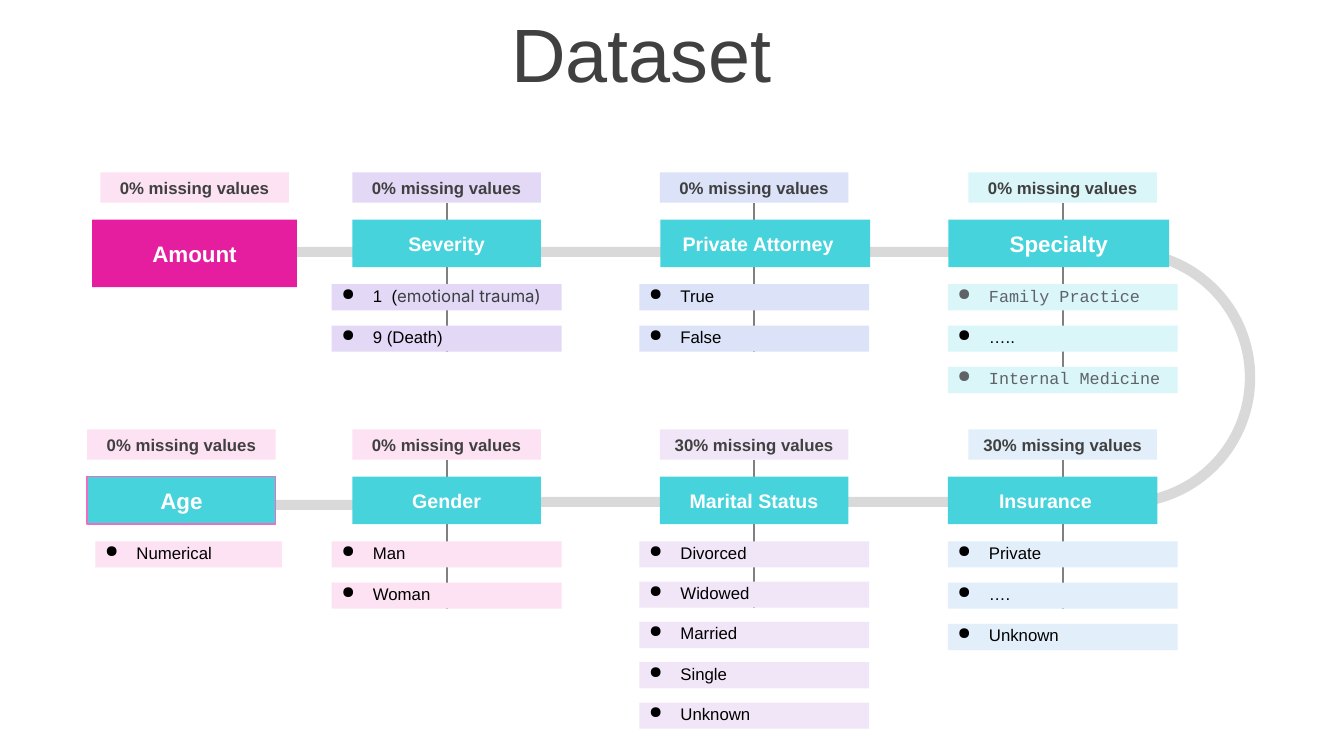
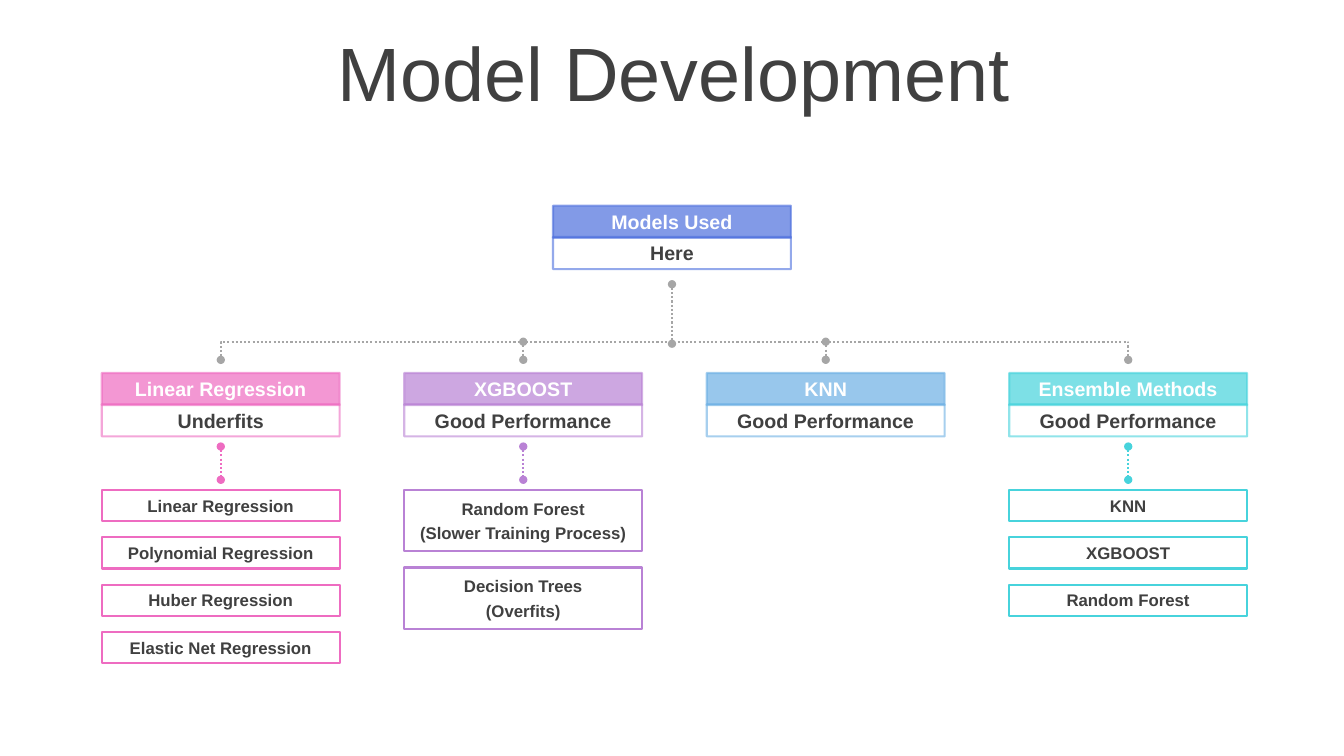
from dataclasses import dataclass
from typing import NamedTuple, Optional, Sequence, Union

from lxml import etree
from pptx import Presentation
from pptx import util as u
from pptx.dml.color import RGBColor
from pptx.enum import dml, shapes
from pptx.enum import text as text_enum
from pptx.oxml.ns import qn

# Shared look
WHITE = RGBColor(0xFF, 0xFF, 0xFF)
BLACK = RGBColor(0, 0, 0)
INK = RGBColor(0x40, 0x40, 0x40)
SOFT_INK = RGBColor(0x3C, 0x40, 0x43)
CODE_INK = RGBColor(0x5F, 0x63, 0x68)
BAND = RGBColor(0xD9, 0xD9, 0xD9)
SPINE = RGBColor(0x80, 0x80, 0x80)
DOTS = RGBColor(0xA6, 0xA6, 0xA6)
CYAN = RGBColor(0x47, 0xD3, 0xDC)
MAGENTA = RGBColor(0xE5, 0x1E, 0xA0)
PINK = RGBColor(0xEE, 0x6C, 0xC1)
PURPLE = RGBColor(0xB9, 0x82, 0xD5)
SKY = RGBColor(0x6D, 0xB0, 0xE4)
BLUE = RGBColor(0x4E, 0x70, 0xDE)
PINK_TINT = RGBColor(0xFC, 0xE2, 0xF3)
VIOLET_TINT = RGBColor(0xE3, 0xD9, 0xF7)
BLUE_TINT = RGBColor(0xDC, 0xE2, 0xF8)
CYAN_TINT = RGBColor(0xDA, 0xF6, 0xF8)
LILAC_TINT = RGBColor(0xF1, 0xE6, 0xF7)
SKY_TINT = RGBColor(0xE2, 0xEF, 0xFA)

SLIDE_WIDTH, SLIDE_HEIGHT = 13.33, 7.5
TITLE_WIDTH, TITLE_HEIGHT = 0.95 * SLIDE_WIDTH, 0.79
CENTER = text_enum.PP_ALIGN.CENTER
LEFT = text_enum.PP_ALIGN.LEFT
TOP = text_enum.MSO_ANCHOR.TOP
MIDDLE = text_enum.MSO_ANCHOR.MIDDLE
BULLET_INDENT = 0.31

# Dataset grid
COLUMN_CENTERS = (1.93, 4.43, 7.48, 10.54)
ROW_TOPS = (1.71, 4.26)
LABEL_WIDTH, LABEL_HEIGHT = 1.87, 0.3
HEADING_DROP, ITEM_DROP, ITEM_HEIGHT = 0.47, 1.11, 0.26

# Model grid
NODE_LEFT, NODE_PITCH, NODE_WIDTH = 1.01, 3.0, 2.36
NODE_TOP, NODE_HEIGHT, NODE_STEP = 3.7, 0.32, 0.31
MEMBER_TOP, MEMBER_GAP, LINE_HEIGHT = 4.86, 0.16, 0.3
BUS_TOP, BUS_BOTTOM = 3.39, 3.57


class Run(NamedTuple):
    text: str
    font: str = "Arial"
    color: Optional[RGBColor] = None


Line = Union[str, Sequence[Run]]


@dataclass(frozen=True)
class Card:
    column: int
    row: int
    heading: str
    tint: RGBColor
    items: Sequence[Line] = ()
    missing: int = 0
    nudge: float = 0
    fill: RGBColor = CYAN
    outline: Optional[RGBColor] = None
    heading_width: float = 1.87
    heading_height: float = 0.47
    heading_nudge: float = 0
    heading_size: int = 14
    text_shift: float = 0
    item_width: float = 2.28
    item_nudge: float = 0
    item_pitch: float = 0.41
    spine_items: int = 2


@dataclass(frozen=True)
class Model:
    name: str
    verdict: str
    color: RGBColor
    members: Sequence[Sequence[str]] = ()


CARDS = (
    Card(0, 0, "Amount", PINK_TINT, fill=MAGENTA, heading_width=2.03,
         heading_height=0.67, heading_size=16, spine_items=0),
    Card(1, 0, "Severity", VIOLET_TINT,
         ((Run("1  ("), Run("emotional trauma)", "Inter", SOFT_INK)), "9 (Death)")),
    Card(2, 0, "Private Attorney", BLUE_TINT, ("True", "False"),
         heading_width=2.08, heading_nudge=0.11, text_shift=0.07),
    Card(3, 0, "Specialty", CYAN_TINT,
         ((Run("Family Practice", "Courier New", CODE_INK),), "…..",
          (Run("Internal Medicine", "Courier New", CODE_INK),)),
         heading_width=2.19, heading_nudge=-0.04, heading_size=16, spine_items=3),
    Card(0, 1, "Age", PINK_TINT, ("Numerical",), nudge=-0.13, outline=PINK,
         heading_size=16, item_width=1.85, item_nudge=0.07, spine_items=0),
    Card(1, 1, "Gender", PINK_TINT, ("Man", "Woman")),
    Card(2, 1, "Marital Status", LILAC_TINT,
         ("Divorced", "Widowed", "Married", "Single", "Unknown"), 30, item_pitch=0.4),
    Card(3, 1, "Insurance", SKY_TINT, ("Private", "….", "Unknown"), 30,
         heading_width=2.08, heading_nudge=-0.1, text_shift=0.07),
)

MODELS = (
    Model("Linear Regression", "Underfits", PINK,
          (("Linear Regression",), ("Polynomial Regression",),
           ("Huber Regression",), ("Elastic Net Regression",))),
    Model("XGBOOST", "Good Performance", PURPLE,
          (("Random Forest", "(Slower Training Process)"),
           ("Decision Trees", "(Overfits)"))),
    Model("KNN", "Good Performance", SKY),
    Model("Ensemble Methods", "Good Performance", CYAN,
          (("KNN",), ("XGBOOST",), ("Random Forest",))),
)


# Drawing helpers
def write_text(shape, *lines: Line, size: float = 12, color: RGBColor = INK,
               bold: bool = False, align=CENTER, anchor=MIDDLE, spacing: float = 1,
               before: float = 0, bullet: bool = False, shift: float = 0) -> None:
    """Fill a shape with one paragraph per line; shift moves centred text left."""
    frame = shape.text_frame
    frame.word_wrap = True
    frame.vertical_anchor = anchor
    frame.margin_right = u.Inches(0.1 + 2 * shift)
    for index, line in enumerate(lines):
        paragraph = frame.add_paragraph() if index else frame.paragraphs[0]
        paragraph.alignment = align
        paragraph.line_spacing = spacing
        paragraph.space_before = u.Pt(before)
        if bullet:
            properties = paragraph._p.get_or_add_pPr()
            indent = u.Inches(BULLET_INDENT)
            properties.set("marL", str(indent))
            properties.set("indent", str(-indent))
            etree.SubElement(properties, qn("a:buChar"), char="●")
        for part in (Run(line),) if isinstance(line, str) else line:
            run = paragraph.add_run()
            run.text = part.text
            run.font.name = part.font
            run.font.size = u.Pt(size)
            run.font.bold = bold
            run.font.color.rgb = part.color or color


def set_alpha(parent, percent: int) -> None:
    color = parent.find(qn("a:solidFill")).find(qn("a:srgbClr"))
    etree.SubElement(color, qn("a:alpha"), val=str(percent * 1000))


def add_box(slide, left: float, top: float, width: float, height: float,
            fill: Optional[RGBColor] = None, outline: Optional[RGBColor] = None,
            line_width: float = 1.5, fill_alpha: int = 100, line_alpha: int = 100,
            kind=shapes.MSO_SHAPE.RECTANGLE):
    shape = slide.shapes.add_shape(
        kind, *(u.Inches(value) for value in (left, top, width, height)))
    shape.shadow.inherit = False
    properties = shape.element.spPr
    if fill is None:
        shape.fill.background()
    else:
        shape.fill.solid()
        shape.fill.fore_color.rgb = fill
        if fill_alpha < 100:
            set_alpha(properties, fill_alpha)
    if outline is None:
        shape.line.fill.background()
    else:
        shape.line.color.rgb = outline
        shape.line.width = u.Pt(line_width)
        if line_alpha < 100:
            set_alpha(properties.find(qn("a:ln")), line_alpha)
    return shape


def add_line(slide, x: float, top: float, bottom: float, color: RGBColor):
    """Draw a vertical line."""
    line = slide.shapes.add_connector(
        shapes.MSO_CONNECTOR.STRAIGHT,
        *(u.Inches(value) for value in (x, top, x, bottom)))
    line.line.color.rgb = color
    line.line.width = u.Pt(1.5)
    etree.SubElement(line.element.spPr, qn("a:effectLst"))
    return line


def make_dotted(shape) -> None:
    shape.line.dash_style = dml.MSO_LINE.ROUND_DOT
    outline = shape.element.spPr.find(qn("a:ln"))
    for end in ("a:headEnd", "a:tailEnd"):
        etree.SubElement(outline, qn(end), type="oval")


def add_titled_slide(presentation, title: str, left: float, top: float):
    slide = presentation.slides.add_slide(presentation.slide_layouts[6])
    box = slide.shapes.add_textbox(*(u.Inches(value) for value in (
        left, top, TITLE_WIDTH, TITLE_HEIGHT)))
    write_text(box, title, size=54, spacing=0.9, before=10)
    return slide


# Dataset slide
def draw_card(slide, card: Card) -> None:
    center = COLUMN_CENTERS[card.column] + card.nudge
    top = ROW_TOPS[card.row]
    # The spine lies behind the boxes it joins
    spine = add_line(slide, center, top, top + ITEM_DROP, SPINE) if card.spine_items else None
    label = add_box(slide, center - LABEL_WIDTH / 2, top, LABEL_WIDTH, LABEL_HEIGHT, card.tint)
    write_text(label, f"{card.missing}% missing values", bold=True, anchor=TOP)
    heading = add_box(slide, center + card.heading_nudge - card.heading_width / 2,
                      top + HEADING_DROP, card.heading_width, card.heading_height,
                      card.fill, card.outline, line_width=1)
    write_text(heading, card.heading, size=card.heading_size, color=WHITE, bold=True,
               shift=card.text_shift)
    for index, item in enumerate(card.items):
        box = add_box(slide, center + card.item_nudge - card.item_width / 2,
                      top + ITEM_DROP + index * card.item_pitch,
                      card.item_width, ITEM_HEIGHT, card.tint)
        write_text(box, item, color=BLACK, align=LEFT, anchor=TOP, spacing=0.8, bullet=True)
        if index + 1 == card.spine_items:
            spine.begin_connect(label, 2)
            spine.end_connect(box, 2)


def draw_dataset(presentation) -> None:
    slide = add_titled_slide(presentation, "Dataset", 0.03, 0.18)
    # Track that links the cards
    arc = add_box(slide, 9.86, 2.45, 2.59, 2.59, BAND, kind=shapes.MSO_SHAPE.BLOCK_ARC)
    for index, value in enumerate((161.27, 54.9, 0.04)):
        arc.adjustments[index] = value
    for left, top, width in ((2.94, 2.45, 8.27), (4.93, 4.93, 6.26), (1.52, 4.96, 1.98)):
        add_box(slide, left, top, width, 0.1, BAND)
    for card in CARDS:
        draw_card(slide, card)


# Model slide
def draw_node(slide, left: float, top: float, model: Model) -> None:
    rows = ((model.name, model.color, WHITE), (model.verdict, None, INK))
    for index, (caption, fill, ink) in enumerate(rows):
        box = add_box(slide, left, top + index * NODE_STEP, NODE_WIDTH, NODE_HEIGHT,
                      fill, model.color, fill_alpha=70, line_alpha=60)
        write_text(box, caption, size=14, color=ink, bold=True, before=3)


def draw_models(presentation) -> None:
    slide = add_titled_slide(presentation, "Model Development", 0.35, 0.37)
    lefts = [NODE_LEFT + index * NODE_PITCH for index in range(len(MODELS))]
    centers = [left + NODE_WIDTH / 2 for left in lefts]
    middle = SLIDE_WIDTH / 2

    # Dotted tree
    builder = slide.shapes.build_freeform(u.Inches(centers[0]), u.Inches(BUS_BOTTOM))
    corners = ((centers[0], BUS_TOP), (centers[-1], BUS_TOP), (centers[-1], BUS_BOTTOM))
    builder.add_line_segments([(u.Inches(x), u.Inches(y)) for x, y in corners], close=False)
    bus = builder.convert_to_shape()
    bus.shadow.inherit = False
    bus.fill.background()
    bus.line.color.rgb = DOTS
    bus.line.width = u.Pt(1.5)
    make_dotted(bus)
    make_dotted(add_line(slide, middle, 2.82, 3.41, DOTS))
    for center in centers[1:-1]:
        make_dotted(add_line(slide, center, BUS_TOP, BUS_BOTTOM, DOTS))

    # Nodes and their members
    draw_node(slide, middle - NODE_WIDTH / 2, 2.04, Model("Models Used", "Here", BLUE))
    for left, center, model in zip(lefts, centers, MODELS):
        draw_node(slide, left, NODE_TOP, model)
        if model.members:
            make_dotted(add_line(slide, center, 4.43, 4.76, model.color))
        top = MEMBER_TOP
        for lines in model.members:
            height = LINE_HEIGHT * len(lines) + 0.01
            box = add_box(slide, left, top, NODE_WIDTH, height, outline=model.color)
            write_text(box, *lines, bold=True, before=3)
            top += height + MEMBER_GAP


def main() -> None:
    presentation = Presentation()
    presentation.slide_width = u.Inches(SLIDE_WIDTH)
    presentation.slide_height = u.Inches(SLIDE_HEIGHT)
    draw_dataset(presentation)
    draw_models(presentation)
    presentation.save("out.pptx")


if __name__ == "__main__":
    main()
